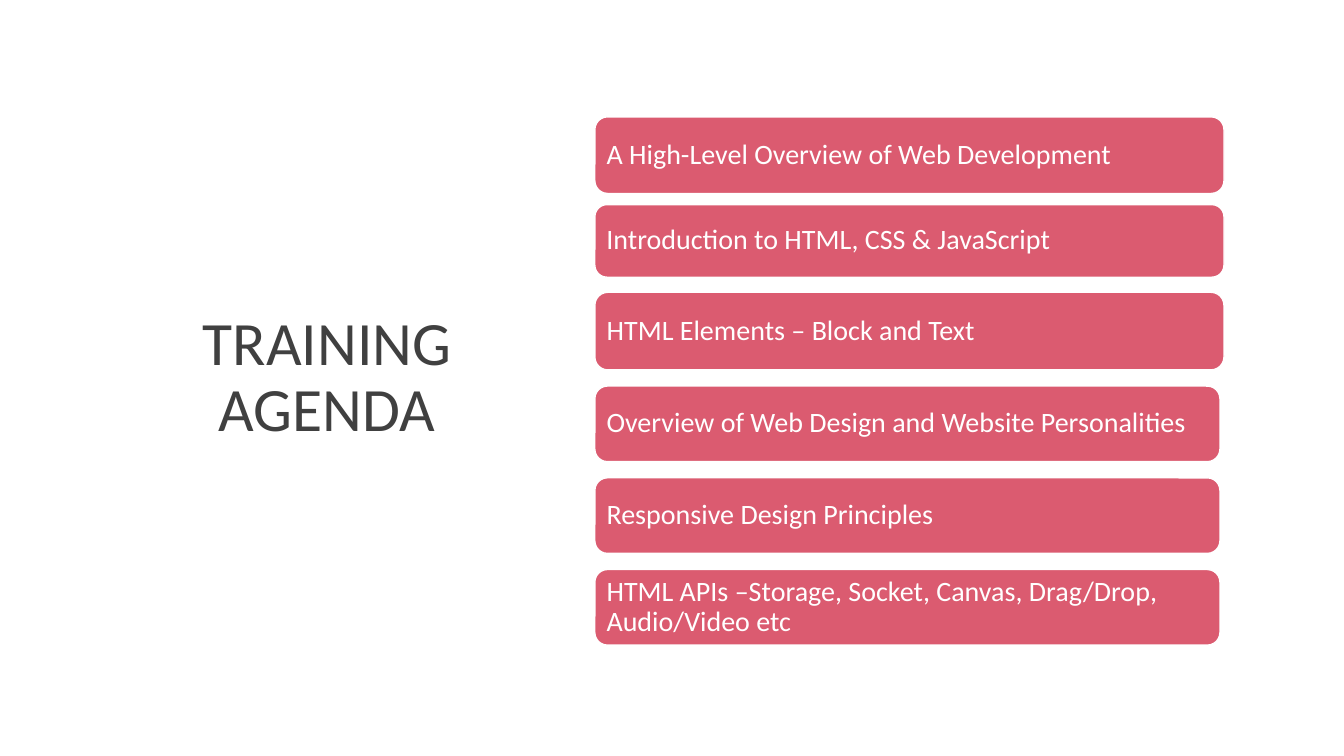
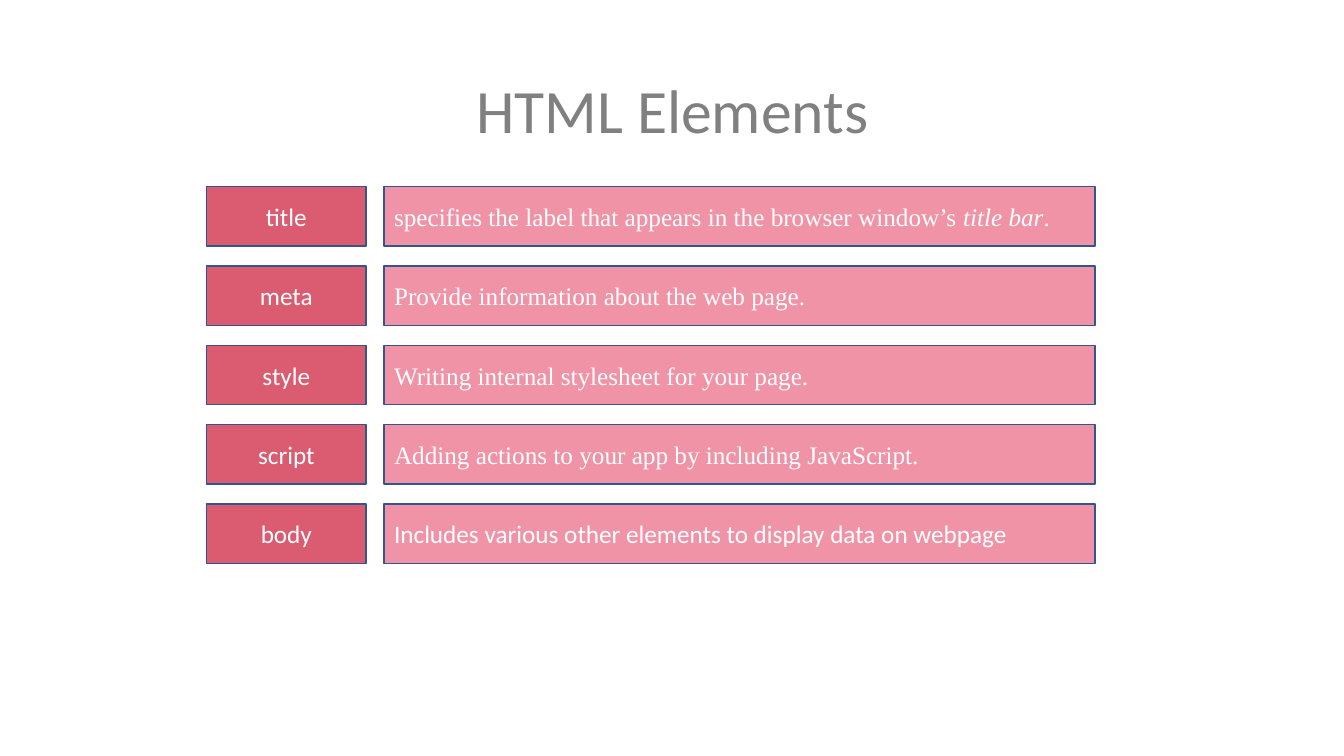
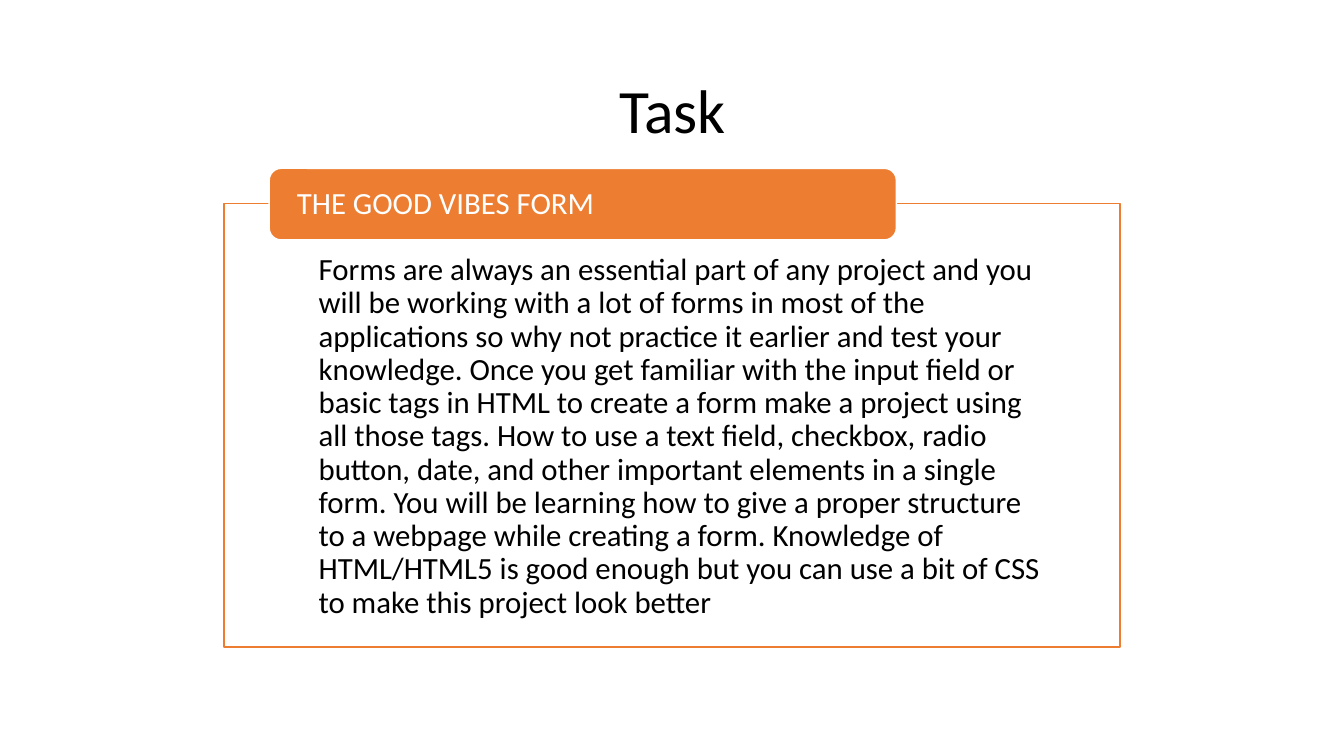
"""Build three web training slides: agenda, HTML elements and task."""
from pptx import Presentation
from pptx.dml.color import RGBColor
from pptx.enum import shapes, text
from pptx.util import Inches, Pt

WHITE = RGBColor(0xFF, 0xFF, 0xFF)
BLACK = RGBColor(0, 0, 0)
CHARCOAL = RGBColor(0x40, 0x40, 0x40)
GREY = RGBColor(0x80, 0x80, 0x80)
ROSE = RGBColor(0xDB, 0x5B, 0x70)
PINK = RGBColor(0xF1, 0x93, 0xA7)
NAVY = RGBColor(0x32, 0x54, 0x91)
ORANGE = RGBColor(0xED, 0x7D, 0x31)

SANS, SERIF = "Calibri", "Times New Roman"
LEFT, CENTER = text.PP_ALIGN.LEFT, text.PP_ALIGN.CENTER
TOP, MIDDLE = text.MSO_ANCHOR.TOP, text.MSO_ANCHOR.MIDDLE
RECT = shapes.MSO_SHAPE.RECTANGLE
ROUNDED = shapes.MSO_SHAPE.ROUNDED_RECTANGLE
STANDARD_INSETS = (0.1, 0.05, 0.1, 0.05)
TITLE_PLACE = (0.92, 0.4, 11.5, 1.45)

AGENDA = [
    ("A High-Level Overview of Web Development", 1.16, 6.24, 0.76),
    ("Introduction to HTML, CSS & JavaScript", 2.03, 6.24, 0.72),
    ("HTML Elements – Block and Text", 2.9, 6.24, 0.77),
    ("Overview of Web Design and Website Personalities", 3.83, 6.2, 0.75),
    ("Responsive Design Principles", 4.74, 6.2, 0.75),
    ("HTML APIs –Storage, Socket, Canvas, Drag/Drop, Audio/Video etc",
     5.65, 6.2, 0.75),
]

ELEMENTS = [
    ("title", SERIF, [
        ("specifies the label that appears in the browser window’s ", False),
        ("title bar", True), (".", False)]),
    ("meta", SERIF, "Provide information about the web page."),
    ("style", SERIF, "Writing internal stylesheet for your page."),
    ("script", SERIF, "Adding actions to your app by including JavaScript."),
    ("body", SANS,
     "Includes various other elements to display data on webpage"),
]

TASK = (
    "Forms are always an essential part of any project and you will be "
    "working with a lot of forms in most of the applications so why not "
    "practice it earlier and test your knowledge. Once you get familiar with "
    "the input field or basic tags in HTML to create a form make a project "
    "using all those tags. How to use a text field, checkbox, radio button, "
    "date, and other important elements in a single form. You will be "
    "learning how to give a proper structure to a webpage while creating a "
    "form. Knowledge of HTML/HTML5 is good enough but you can use a bit of "
    "CSS to make this project look better"
)


def apply(target, values):
    """Set each attribute of target from a dict of values."""
    for name, value in values.items():
        setattr(target, name, value)


def write(holder, content, size, color, font=SANS, align=LEFT, anchor=MIDDLE,
          insets=STANDARD_INSETS, spacing=1.0):
    """Write one paragraph of plain text or (text, italic) runs."""
    frame = holder.text_frame
    left, top, right, bottom = map(Inches, insets)
    apply(frame, {"word_wrap": True, "vertical_anchor": anchor,
                  "margin_left": left, "margin_top": top,
                  "margin_right": right, "margin_bottom": bottom})
    paragraph = frame.paragraphs[0]
    apply(paragraph, {"alignment": align, "line_spacing": spacing})
    for words, italic in [(content, False)] if isinstance(content, str) else content:
        run = paragraph.add_run()
        run.text = words
        apply(run.font, {"name": font, "size": Pt(size), "italic": italic})
        run.font.color.rgb = color


def add_title(slide, words, color, place=TITLE_PLACE):
    """Add a centred slide title."""
    title = slide.shapes.add_textbox(*map(Inches, place))
    write(title, words, 44, color, align=CENTER, spacing=0.9)


def add_panel(slide, preset, place, fill, line, content, size, color=WHITE,
              **style):
    """Add a filled, outlined shape holding text."""
    panel = slide.shapes.add_shape(preset, *map(Inches, place))
    panel.shadow.inherit = False
    panel.fill.solid()
    panel.fill.fore_color.rgb = fill
    panel.line.color.rgb = line
    panel.line.width = Pt(1)
    write(panel, content, size, color, **style)


def build_agenda(slide):
    """Fill the agenda slide."""
    add_title(slide, "TRAINING AGENDA", CHARCOAL, (0.82, 3.03, 4.85, 1.45))
    for topic, top, width, height in AGENDA:
        add_panel(slide, ROUNDED, (5.9, top, width, height), ROSE, WHITE,
                  topic, 20, insets=(0.08,) * 4, spacing=0.9)


def build_elements(slide):
    """Fill the slide that pairs each element with its purpose."""
    add_title(slide, "HTML Elements", GREY)
    first_top, last_top, height = 1.85, 5, 0.59
    pitch = (last_top - first_top) / (len(ELEMENTS) - 1)
    for row, (element, font, purpose) in enumerate(ELEMENTS):
        top = first_top + row * pitch
        add_panel(slide, RECT, (2.05, top, 1.58, height), ROSE, NAVY,
                  element, 18, align=CENTER)
        add_panel(slide, RECT, (3.81, top, 7.05, height), PINK, NAVY,
                  purpose, 18, font=font)


def build_task(slide):
    """Fill the task slide."""
    add_title(slide, "Task", BLACK)
    add_panel(slide, RECT, (2.22, 2.02, 8.89, 4.4), WHITE, ORANGE, TASK, 22,
              BLACK, anchor=TOP, insets=(0.94, 0.5, 0.69, 0.17), spacing=0.9)
    add_panel(slide, ROUNDED, (2.67, 1.67, 6.22, 0.71), ORANGE, WHITE,
              "THE GOOD VIBES FORM", 22, insets=(0.24, 0, 0.24, 0),
              spacing=0.9)


def main():
    """Build and save the presentation."""
    deck = Presentation()
    apply(deck, {"slide_width": Inches(13.33), "slide_height": Inches(7.5)})
    for build in (build_agenda, build_elements, build_task):
        build(deck.slides.add_slide(deck.slide_layouts[6]))
    deck.save("out.pptx")


if __name__ == "__main__":
    main()
